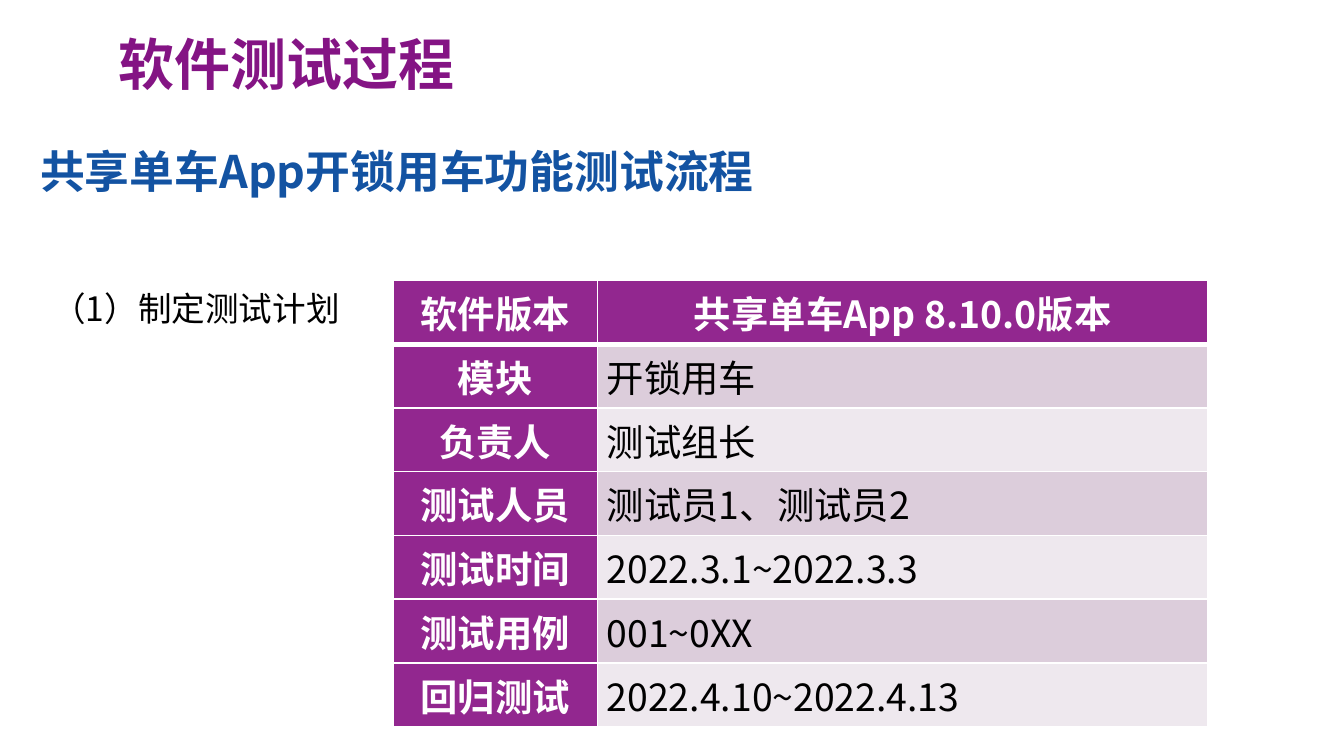
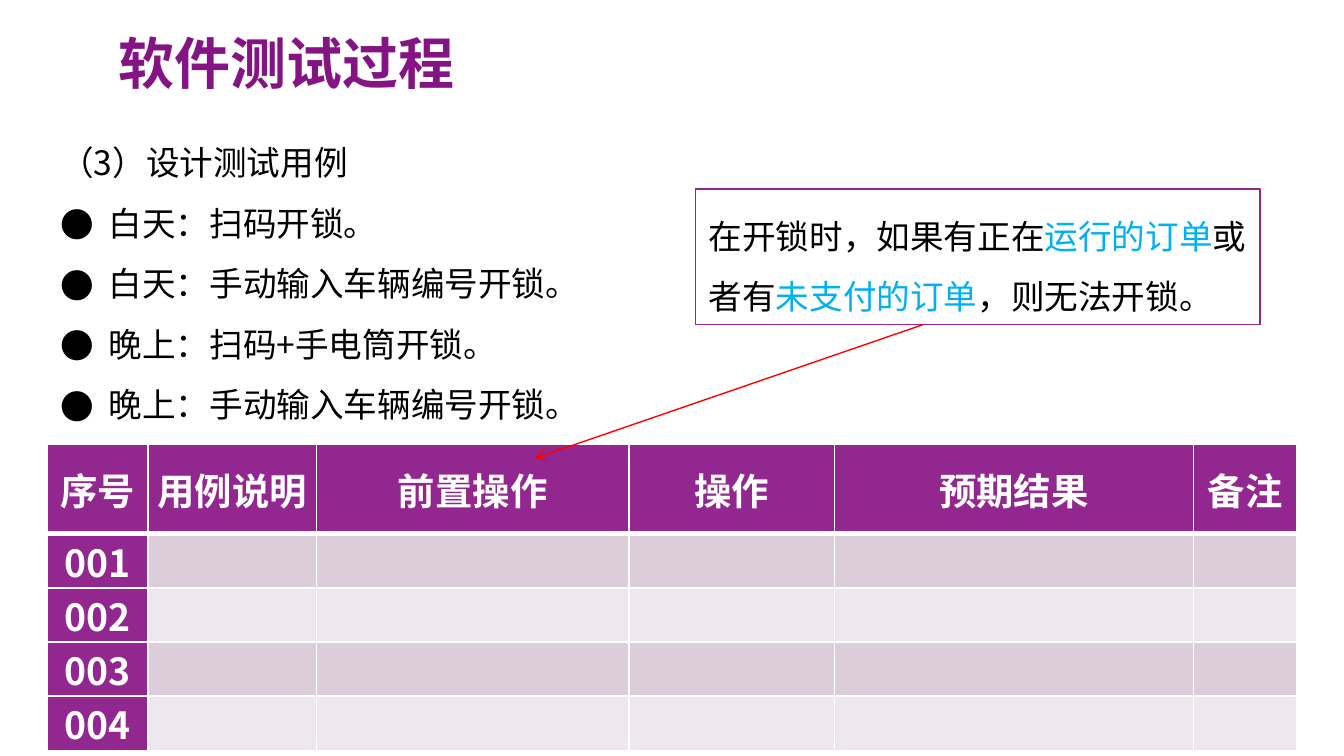
from dataclasses import dataclass

from lxml.etree import SubElement
from pptx import Presentation
from pptx.dml.color import RGBColor
from pptx.enum.shapes import MSO_CONNECTOR, MSO_SHAPE
from pptx.enum.text import MSO_ANCHOR, MSO_AUTO_SIZE, PP_ALIGN
from pptx.oxml import parse_xml
from pptx.oxml.ns import nsdecls, qn
from pptx.util import Emu, Pt

SCALE = 4572  # 200 px to the inch


@dataclass(frozen=True)
class Theme:
    font: str = "Noto Sans CJK SC"
    title: str = "841484"
    heading: str = "1353A2"
    text: str = "000000"
    white: str = "FFFFFF"
    accent: str = "92278F"
    bands: tuple = ("EEE8EE", "DCCDDB")
    highlight: str = "00B0F0"
    arrow: str = "FF0000"
    title_size: int = 30
    heading_size: int = 24
    table_size: int = 20
    body_size: int = 18
    body_spacing: float = 1.5


THEME = Theme()


def px(value):
    return Emu(value * SCALE)


def rgb(color):
    return RGBColor.from_string(color)


def add_text(paragraph, text, size=THEME.body_size, color=THEME.text, bold=False,
             align=PP_ALIGN.LEFT, spacing=None):
    paragraph.alignment = align
    if spacing:
        paragraph.line_spacing = spacing
    run = paragraph.add_run()
    run.text = text
    font = run.font
    font.size, font.bold, font.name = Pt(size), bold, THEME.font
    font.color.rgb = rgb(color)
    SubElement(font._element, qn("a:ea"), typeface=THEME.font)


def add_bullet(paragraph, indent):
    properties = paragraph._p.get_or_add_pPr()
    properties.set("marL", str(px(indent)))
    properties.set("indent", str(-px(indent)))
    SubElement(properties, qn("a:buFont"), typeface=THEME.font)
    SubElement(properties, qn("a:buChar"), char="●")


def set_margins(target, horizontal, vertical):
    target.margin_left = target.margin_right = px(horizontal)
    target.margin_top = target.margin_bottom = px(vertical)


def add_text_frame(slide, box):
    frame = slide.shapes.add_textbox(*map(px, box)).text_frame
    frame.word_wrap = True
    return frame


def add_title_slide(presentation, title, box):
    slide = presentation.slides.add_slide(presentation.slide_layouts[5])
    shape = slide.shapes.title
    shape.left, shape.top, shape.width, shape.height = map(px, box)
    frame = shape.text_frame
    frame.auto_size = MSO_AUTO_SIZE.NONE
    frame.vertical_anchor = MSO_ANCHOR.MIDDLE
    set_margins(frame, 14, 8)
    add_text(frame.paragraphs[0], title, size=THEME.title_size, color=THEME.title, bold=True)
    return slide


def set_borders(cell, **widths):
    """Draw white cell borders; widths are points keyed by side (L, R, T, B)."""
    properties = cell._tc.get_or_add_tcPr()
    for index, side in enumerate("LRTB"):
        width = Pt(widths.get(side, 1))
        properties.insert(index, parse_xml(
            f'<a:ln{side} {nsdecls("a")} w="{width}"><a:solidFill>'
            f'<a:srgbClr val="{THEME.white}"/></a:solidFill></a:ln{side}>'))


def format_cell(cell, text, row, column):
    is_header = row == 0 or column == 0
    cell.vertical_anchor = MSO_ANCHOR.MIDDLE
    set_margins(cell, 14, 0)
    cell.fill.solid()
    cell.fill.fore_color.rgb = rgb(THEME.accent if is_header else THEME.bands[row % 2])
    set_borders(cell, T=3 if row == 1 else 1, B=3 if row == 0 else 1)
    if text:
        add_text(cell.text_frame.paragraphs[0], text, size=THEME.table_size, bold=is_header,
                 color=THEME.white if is_header else THEME.text,
                 align=PP_ALIGN.CENTER if is_header else PP_ALIGN.JUSTIFY)


def add_grid(slide, left, top, widths, heights, rows):
    """Add a table with header row and column; short rows leave empty cells."""
    frame = slide.shapes.add_table(len(heights), len(widths), px(left), px(top),
                                   px(sum(widths)), px(sum(heights)))
    table = frame.table
    table.first_col = True
    for column, width in zip(table.columns, widths):
        column.width = px(width)
    for row, height in zip(table.rows, heights):
        row.height = px(height)
    for row, texts in enumerate(rows):
        for column in range(len(widths)):
            text = texts[column] if column < len(texts) else ""
            format_cell(table.cell(row, column), text, row, column)


def add_case_list(slide, box, heading, cases):
    frame = add_text_frame(slide, box)
    add_text(frame.paragraphs[0], heading, spacing=THEME.body_spacing)
    for case in cases:
        paragraph = frame.add_paragraph()
        add_text(paragraph, case, spacing=THEME.body_spacing)
        add_bullet(paragraph, 72)


def add_callout(slide, box, parts, arrow_start, arrow_end):
    """Add a framed note and an arrow; arrow points are relative to the box."""
    left, top, _, _ = box
    shape = slide.shapes.add_shape(MSO_SHAPE.RECTANGLE, *map(px, box))
    shape.shadow.inherit = False
    shape.fill.background()
    shape.line.color.rgb = rgb(THEME.accent)
    shape.line.width = Pt(1)
    frame = shape.text_frame
    frame.word_wrap = True
    frame.vertical_anchor = MSO_ANCHOR.TOP
    for text, color in parts:
        add_text(frame.paragraphs[0], text, color=color, spacing=THEME.body_spacing)

    points = [px(origin + offset) for point in (arrow_start, arrow_end)
              for origin, offset in zip((left, top), point)]
    arrow = slide.shapes.add_connector(MSO_CONNECTOR.STRAIGHT, *points)
    arrow.line.color.rgb = rgb(THEME.arrow)
    arrow.line.width = Pt(0.75)
    SubElement(arrow.line._get_or_add_ln(), qn("a:tailEnd"), type="arrow")
    SubElement(arrow._element.spPr, qn("a:effectLst"))


def build_plan_slide(presentation):
    slide = add_title_slide(presentation, "软件测试过程", (162, 41, 922, 106))
    heading = add_text_frame(slide, (40, 204, 1756, 100))
    add_text(heading.paragraphs[0], "共享单车App开锁用车功能测试流程",
             size=THEME.heading_size, color=THEME.heading, bold=True)
    step = add_text_frame(slide, (58, 388, 742, 188))
    add_text(step.paragraphs[0], "（1）制定测试计划", spacing=THEME.body_spacing)
    add_grid(slide, 585, 417, (304, 909), [95] * 7, [
        ("软件版本", "共享单车App 8.10.0版本"),
        ("模块", "开锁用车"),
        ("负责人", "测试组长"),
        ("测试人员", "测试员1、测试员2"),
        ("测试时间", "2022.3.1~2022.3.3"),
        ("测试用例", "001~0XX"),
        ("回归测试", "2022.4.10~2022.4.13"),
    ])


def build_cases_slide(presentation):
    slide = add_title_slide(presentation, "软件测试过程", (162, 39, 922, 106))
    header = ("序号", "用例说明", "前置操作", "操作", "预期结果", "备注")
    numbers = [(f"{number:03}",) for number in range(1, 5)]
    add_grid(slide, 70, 661, (150, 251, 465, 306, 534, 154), (133, 66, 66, 66, 76),
             [header, *numbers])
    add_case_list(slide, (70, 172, 804, 478), "（3）设计测试用例", (
        "白天：扫码开锁。",
        "白天：手动输入车辆编号开锁。",
        "晚上：扫码+手电筒开锁。",
        "晚上：手动输入车辆编号开锁。",
    ))
    add_callout(slide, (1035, 281, 840, 202), (
        ("在开锁时，如果有正在", THEME.text),
        ("运行的订单", THEME.highlight),
        ("或者有", THEME.text),
        ("未支付的订单", THEME.highlight),
        ("，则无法开锁。", THEME.text),
    ), arrow_start=(339, 202), arrow_end=(-239, 401))


def main():
    presentation = Presentation()
    presentation.slide_width, presentation.slide_height = px(2000), px(1125)
    build_plan_slide(presentation)
    build_cases_slide(presentation)
    presentation.save("out.pptx")


if __name__ == "__main__":
    main()
